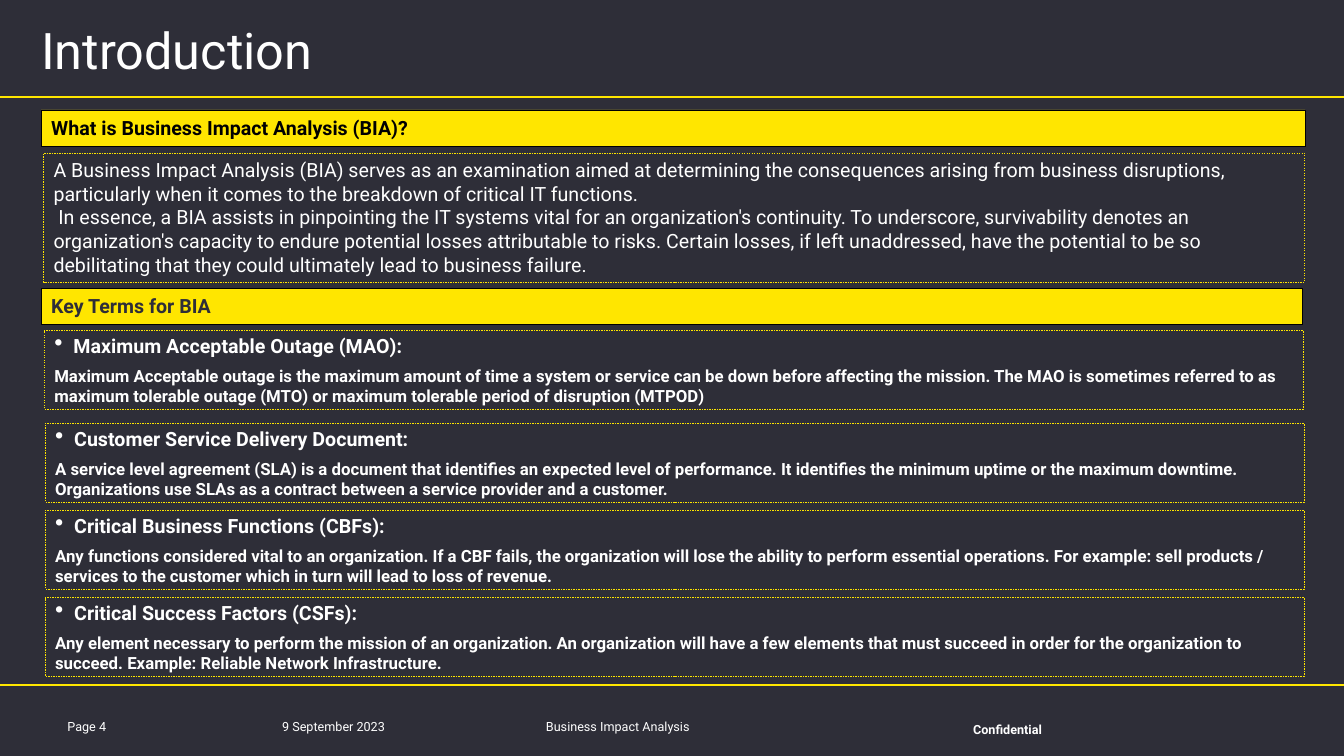
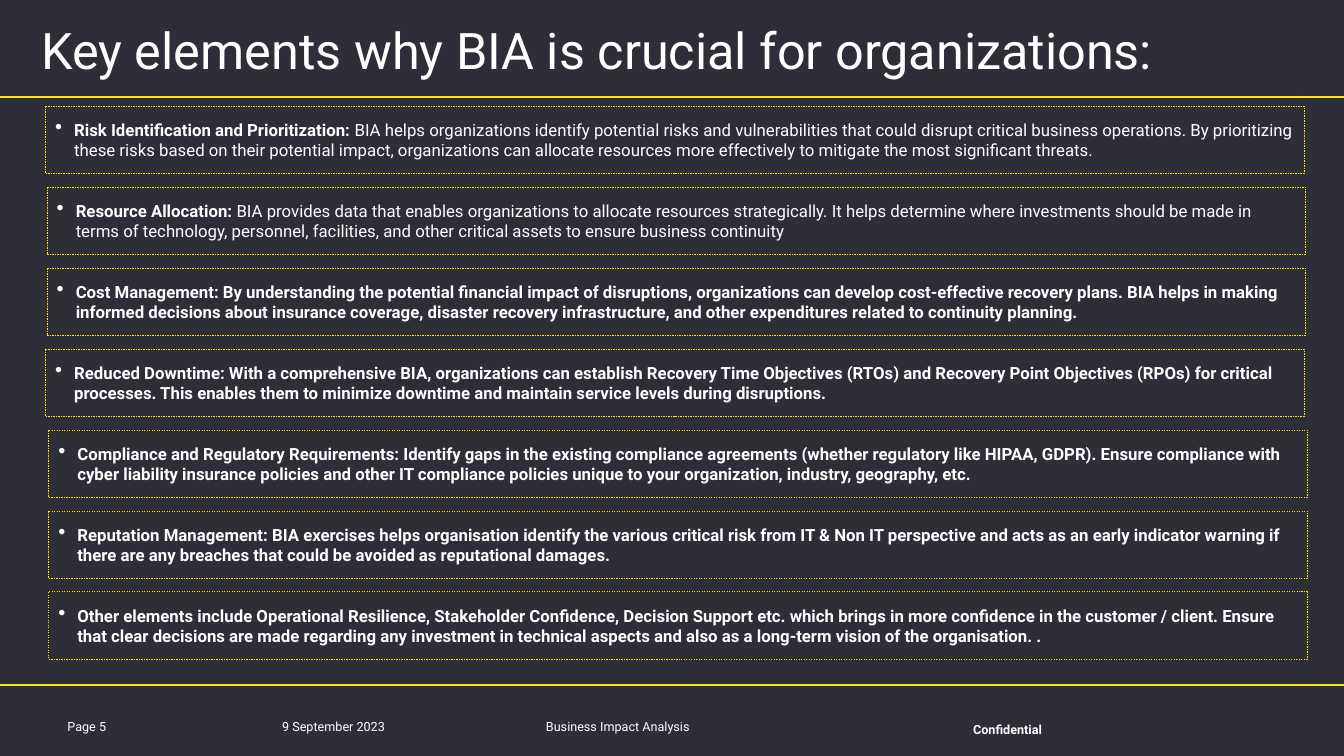
from dataclasses import dataclass

import lxml.etree
import pptx
import pptx.dml.color
import pptx.enum.dml
import pptx.enum.shapes
import pptx.enum.text
import pptx.oxml.ns
import pptx.util
from pptx.util import Cm, Pt

RGBColor = pptx.dml.color.RGBColor
Align = pptx.enum.text.PP_ALIGN
Anchor = pptx.enum.text.MSO_ANCHOR

DARK = RGBColor(0x2E, 0x2E, 0x38)
GOLD = RGBColor(0xFF, 0xE6, 0x00)
WHITE = RGBColor(0xFF, 0xFF, 0xFF)
BLACK = RGBColor(0x00, 0x00, 0x00)
FONT = "Roboto"

WIDTH, HEIGHT = 33.87, 19.05
RULES = (2.44, 17.25)
PAD_X, PAD_Y = 0.25, 0.13


@dataclass(frozen=True)
class Box:
    left: float
    top: float
    width: float
    height: float


@dataclass(frozen=True)
class Note:
    box: Box
    text: str
    pads: tuple = (PAD_X, PAD_Y, PAD_X, PAD_Y)
    tight: bool = False


@dataclass(frozen=True)
class Term:
    left: float
    top: float
    name: str
    text: str


@dataclass(frozen=True)
class Point:
    left: float
    lead: str
    text: str
    bold: bool = True


TITLE = Box(1.04, 0.61, 31.12, 1.42)
TIGHT_PADS = (0, 0.1, 0, 0)

INTRO = (
    "A Business Impact Analysis (BIA) serves as an examination aimed at determining the consequences "
    "arising from business disruptions, particularly when it comes to the breakdown of critical IT functions.",
    " In essence, a BIA assists in pinpointing the IT systems vital for an organization's continuity. "
    "To underscore, survivability denotes an organization's capacity to endure potential losses "
    "attributable to risks. Certain losses, if left unaddressed, have the potential to be so "
    "debilitating that they could ultimately lead to business failure.",
)

TERMS = (
    Term(1.12, 8.33, "Maximum Acceptable Outage (MAO):",
         "Maximum Acceptable outage is the maximum amount of time a system or service can be down before "
         "affecting the mission. The MAO is sometimes referred to as maximum tolerable outage (MTO) or "
         "maximum tolerable period of disruption (MTPOD)"),
    Term(1.14, 10.67, "Customer Service Delivery Document:",
         "A service level agreement (SLA) is a document that identifies an expected level of performance. "
         "It identifies the minimum uptime or the maximum downtime. Organizations use SLAs as a contract "
         "between a service provider and a customer."),
    Term(1.14, 12.86, "Critical Business Functions (CBFs):",
         "Any functions considered vital to an organization. If a CBF fails, the organization will lose "
         "the ability to perform essential operations. For example: sell products / services to the "
         "customer which in turn will lead to loss of revenue."),
    Term(1.14, 15.06, "Critical Success Factors (CSFs):",
         "Any element necessary to perform the mission of an organization. An organization will have a "
         "few elements that must succeed in order for the organization to succeed. Example: Reliable "
         "Network Infrastructure."),
)

POINTS = (
    Point(1.14, "Risk Identification and Prioritization:",
          " BIA helps organizations identify potential risks and vulnerabilities that could disrupt "
          "critical business operations. By prioritizing these risks based on their potential impact, "
          "organizations can allocate resources more effectively to mitigate the most significant threats.",
          bold=False),
    Point(1.18, "Resource Allocation:",
          " BIA provides data that enables organizations to allocate resources strategically. It helps "
          "determine where investments should be made in terms of technology, personnel, facilities, and "
          "other critical assets to ensure business continuity",
          bold=False),
    Point(1.18, "Cost Management:",
          " By understanding the potential financial impact of disruptions, organizations can develop "
          "cost-effective recovery plans. BIA helps in making informed decisions about insurance coverage, "
          "disaster recovery infrastructure, and other expenditures related to continuity planning."),
    Point(1.14, "Reduced Downtime:",
          " With a comprehensive BIA, organizations can establish Recovery Time Objectives (RTOs) and "
          "Recovery Point Objectives (RPOs) for critical processes. This enables them to minimize downtime "
          "and maintain service levels during disruptions."),
    Point(1.22, "Compliance and Regulatory Requirements:",
          " Identify gaps in the existing compliance agreements (whether regulatory like HIPAA, GDPR). "
          "Ensure compliance with cyber liability insurance policies and other IT compliance policies "
          "unique to your organization, industry, geography, etc."),
    Point(1.22, "Reputation Management:",
          " BIA exercises helps organisation identify the various critical risk from IT & Non IT "
          "perspective and acts as an early indicator warning if there are any breaches that could be "
          "avoided as reputational damages."),
    Point(1.22, "Other elements",
          " include Operational Resilience, Stakeholder Confidence, Decision Support etc. which brings in "
          "more confidence in the customer / client. Ensure that clear decisions are made regarding any "
          "investment in technical aspects and also as a long-term vision of the organisation. ."),
)


def place(box: Box) -> tuple:
    return Cm(box.left), Cm(box.top), Cm(box.width), Cm(box.height)


def style(para, size: float, color=WHITE, bold: bool = False, align=Align.LEFT) -> None:
    para.alignment = align
    para.font.name = FONT
    para.font.size = Pt(size)
    para.font.bold = bold
    para.font.color.rgb = color


def tighten(para) -> None:
    para.line_spacing = 0.85
    para.space_after = Pt(6)


def bullet(para) -> None:
    props = para._p.get_or_add_pPr()
    props.set("marL", str(Cm(0.48)))
    props.set("indent", str(Cm(-0.48)))
    name = pptx.oxml.ns.qn
    lxml.etree.SubElement(props, name("a:buSzPct"), val="125000")
    lxml.etree.SubElement(props, name("a:buChar"), char="•")


def setup(frame, pads: tuple, anchor=Anchor.TOP) -> None:
    frame.word_wrap = True
    frame.auto_size = pptx.enum.text.MSO_AUTO_SIZE.NONE
    frame.vertical_anchor = anchor
    (frame.margin_left, frame.margin_top,
     frame.margin_right, frame.margin_bottom) = map(Cm, pads)


def add_rect(slide, box: Box, anchor=Anchor.MIDDLE):
    """Add a dashed, unfilled box and return it."""
    rect = slide.shapes.add_shape(pptx.enum.shapes.MSO_SHAPE.RECTANGLE, *place(box))
    rect.shadow.inherit = False
    rect.fill.background()
    rect.line.color.rgb = GOLD
    rect.line.width = Pt(0.25)
    rect.line.dash_style = pptx.enum.dml.MSO_LINE.DASH
    setup(rect.text_frame, (PAD_X, PAD_Y, PAD_X, PAD_Y), anchor)
    return rect


def add_bar(slide, box: Box, text: str, color) -> None:
    bar = add_rect(slide, box)
    bar.fill.solid()
    bar.fill.fore_color.rgb = GOLD
    bar.line.color.rgb = BLACK
    bar.line.dash_style = pptx.enum.dml.MSO_LINE.SOLID
    para = bar.text_frame.paragraphs[0]
    para.text = text
    style(para, 14, color, bold=True)


def add_rule(slide, top: float) -> None:
    rule = slide.shapes.add_connector(
        pptx.enum.shapes.MSO_CONNECTOR.STRAIGHT, 0, Cm(top), Cm(WIDTH), Cm(top))
    rule.line.color.rgb = GOLD
    rule.line.width = Pt(1.5)
    lxml.etree.SubElement(rule._element.spPr, pptx.oxml.ns.qn("a:effectLst"))


def add_note(slide, note: Note) -> None:
    frame = slide.shapes.add_textbox(*place(note.box)).text_frame
    setup(frame, note.pads)
    para = frame.paragraphs[0]
    para.text = note.text
    style(para, 9, bold=note.tight, align=Align.CENTER if note.tight else Align.LEFT)
    if note.tight:
        tighten(para)


def add_slide(deck, title: str, page: int):
    """Add a slide with the title, rules and footer that all slides share."""
    slide = deck.slides.add_slide(deck.slide_layouts.get_by_name("Title Only"))
    head = slide.shapes.title
    head.left, head.top, head.width, head.height = place(TITLE)
    setup(head.text_frame, TIGHT_PADS)
    para = head.text_frame.paragraphs[0]
    para.text = title
    style(para, 36)
    tighten(para)
    for top in RULES:
        add_rule(slide, top)
    for note in (
        Note(Box(1.7, 17.98, 1.83, 0.51), f"Page {page}", (0, PAD_Y, PAD_X, PAD_Y)),
        Note(Box(6.86, 17.98, 3.3, 0.51), "9 September 2023"),
        Note(Box(13.51, 17.98, 6.88, 0.51), "Business Impact Analysis"),
        Note(Box(22.1, 18.14, 6.58, 0.43), "Confidential", TIGHT_PADS, tight=True),
    ):
        add_note(slide, note)
    return slide


def add_term(slide, term: Term) -> None:
    frame = add_rect(slide, Box(term.left, term.top, 31.72, 1.98)).text_frame
    name, text = frame.paragraphs[0], frame.add_paragraph()
    name.text, text.text = term.name, term.text
    bullet(name)
    style(name, 14, bold=True)
    style(text, 12, bold=True)
    text.space_before = Pt(6)


def add_point(slide, point: Point, top: float) -> None:
    frame = add_rect(slide, Box(point.left, top, 31.72, 1.7)).text_frame
    para = frame.paragraphs[0]
    bullet(para)
    style(para, 12, bold=True)
    if point.bold:
        para.add_run().text = point.lead + point.text
    else:
        para.add_run().text = point.lead
        plain = para.add_run()
        plain.text = point.text
        plain.font.bold = False


def add_intro(deck) -> None:
    slide = add_slide(deck, "Introduction", 4)
    add_bar(slide, Box(1.04, 2.77, 31.85, 0.91), "What is Business Impact Analysis (BIA)?", BLACK)
    frame = add_rect(slide, Box(1.1, 3.86, 31.78, 3.25), Anchor.TOP).text_frame
    frame.text = "\n".join(INTRO)
    for para in frame.paragraphs:
        style(para, 14)
    add_bar(slide, Box(1.04, 7.26, 31.78, 0.91), "Key Terms for BIA", DARK)
    for term in TERMS:
        add_term(slide, term)


def add_reasons(deck) -> None:
    slide = add_slide(deck, "Key elements why BIA is crucial for organizations:", 5)
    for row, point in enumerate(POINTS):
        add_point(slide, point, 2.67 + 2.04 * row)


def main() -> None:
    deck = pptx.Presentation()
    deck.slide_width, deck.slide_height = Cm(WIDTH), Cm(HEIGHT)
    ground = deck.slide_master.background.fill
    ground.solid()
    ground.fore_color.rgb = DARK
    add_intro(deck)
    add_reasons(deck)
    deck.save("out.pptx")


if __name__ == "__main__":
    main()
